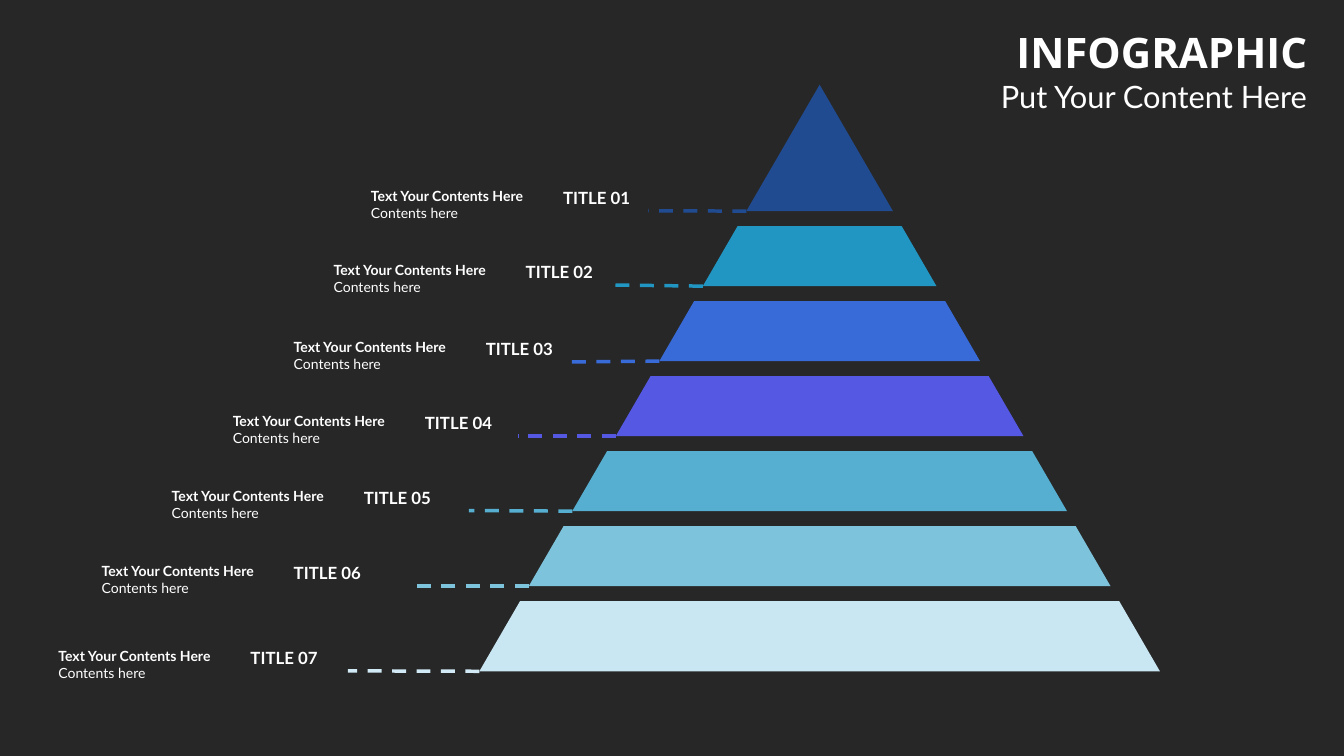
from lxml import etree
from pptx import Presentation
from pptx.dml.color import RGBColor
from pptx.enum.dml import MSO_LINE_DASH_STYLE as Dash
from pptx.enum.shapes import MSO_CONNECTOR as Connector
from pptx.enum.text import MSO_ANCHOR as Anchor, MSO_AUTO_SIZE as AutoSize, PP_ALIGN as Align
from pptx.oxml.ns import qn
from pptx.util import Cm, Pt

COLORS = {
    "background": "272727", "text": "FFFFFF", "base_line": "D1EAF5",
    "tier1": "204B91", "tier2": "2296C2", "tier3": "386AD8", "tier4": "5458E2",
    "tier5": "56AFD0", "tier6": "7DC3DC", "tier7": "C9E6F3",
}
HEAD_FONT, BODY_FONT = "Open Sans", "Lato"

# Pyramid geometry in cm
APEX_X, APEX_Y = 41.3, 4.27
SLOPE = 0.58  # half width gained per unit of height
FIRST_BOTTOM, TIER_STEP, TIER_HEIGHT = 10.64, 3.78, 3.02
BASE_BOTTOM = 33.83

# Each label: title left, title width, top, outer end of the dashed line
LABELS = [
    (28.12, 9.07, 9.32, 32.66),
    (26.24, 8.66, 13.06, 30.56),
    (24.23, 8.99, 16.94, 28.73),
    (21.16, 9.86, 20.68, 26.09),
    (18.08, 11.07, 24.43, 23.62),
    (14.55, 12.6, 28.24, 20.85),
    (12.37, 10.31, 32.51, 17.53),
]
CONTENT_OFFSET = 9.68
LINE_DROP = 1.3


class Deck:
    """Holds the drawing style and the current slide."""

    def __init__(self, slide):
        self.slide = slide
        self.shapes = slide.shapes

    def color(self, name):
        return RGBColor.from_string(COLORS[name])

    def background(self, name):
        fill = self.slide.background.fill
        fill.solid()
        fill.fore_color.rgb = self.color(name)

    def polygon(self, points, color):
        corners = [(Cm(x), Cm(y)) for x, y in points]
        builder = self.shapes.build_freeform(*corners[0], scale=1.0)
        builder.add_line_segments(corners[1:], close=True)
        tier = builder.convert_to_shape()
        tier.shadow.inherit = False
        tier.fill.solid()
        tier.fill.fore_color.rgb = self.color(color)
        tier.line.fill.background()

    def dashed_line(self, start, end, color):
        line = self.shapes.add_connector(
            Connector.STRAIGHT, *(Cm(v) for v in (*start, *end)))
        line.line.color.rgb = self.color(color)
        line.line.width = Pt(5)
        line.line.dash_style = Dash.DASH
        etree.SubElement(line._element.spPr, qn("a:effectLst"))

    def text(self, left, top, width, height, lines, heading=False):
        """Each line is (text, size, font, bold)."""
        box = self.shapes.add_textbox(Cm(left), Cm(top), Cm(width), Cm(height))
        frame = box.text_frame
        frame.word_wrap = True
        frame.auto_size = AutoSize.NONE if heading else AutoSize.SHAPE_TO_FIT_TEXT
        frame.vertical_anchor = Anchor.BOTTOM if heading else Anchor.TOP
        for i, (words, size, font, bold) in enumerate(lines):
            paragraph = frame.add_paragraph() if i else frame.paragraphs[0]
            if heading:
                paragraph.alignment = Align.RIGHT
                paragraph.line_spacing = 0.9
                paragraph.space_after = Pt(6)
            run = paragraph.add_run()
            run.text = words
            run.font.size = Pt(size)
            run.font.name = font
            run.font.bold = bold
            run.font.color.rgb = self.color("text")


def main():
    prs = Presentation()
    prs.slide_width, prs.slide_height = Cm(67.72), Cm(38.1)
    deck = Deck(prs.slides.add_slide(prs.slide_layouts[6]))
    deck.background("background")

    # Heading
    deck.text(41.3, 1.27, 24.82, 4.65, [
        ("INFOGRAPHIC", 60, HEAD_FONT, True),
        ("Put Your Content Here", 44, BODY_FONT, False),
    ], heading=True)

    last = len(LABELS)
    for number, (left, width, label_top, line_end) in enumerate(LABELS, start=1):
        # Pyramid tier
        color = f"tier{number}"
        row_bottom = FIRST_BOTTOM + (number - 1) * TIER_STEP
        top = APEX_Y if number == 1 else row_bottom - TIER_HEIGHT
        bottom = BASE_BOTTOM if number == last else row_bottom
        half_top, half_bottom = (SLOPE * (y - APEX_Y) for y in (top, bottom))
        corners = [(APEX_X + half_top, top), (APEX_X + half_bottom, bottom),
                   (APEX_X - half_bottom, bottom)]
        if number > 1:
            corners.insert(0, (APEX_X - half_top, top))
        deck.polygon(corners, color)

        # Dashed line from the tier to its label
        deck.dashed_line((APEX_X - half_bottom, bottom),
                         (line_end, label_top + LINE_DROP),
                         "base_line" if number == last else color)

        # Title and contents
        deck.text(left, label_top, width, 1.27,
                  [(f"TITLE {number:02d}", 24, BODY_FONT, True)])
        deck.text(left - CONTENT_OFFSET, label_top, 9.07, 1.96, [
            ("Text Your Contents Here", 20, BODY_FONT, True),
            ("Contents here", 20, BODY_FONT, False),
        ])

    prs.save("out.pptx")


if __name__ == "__main__":
    main()
